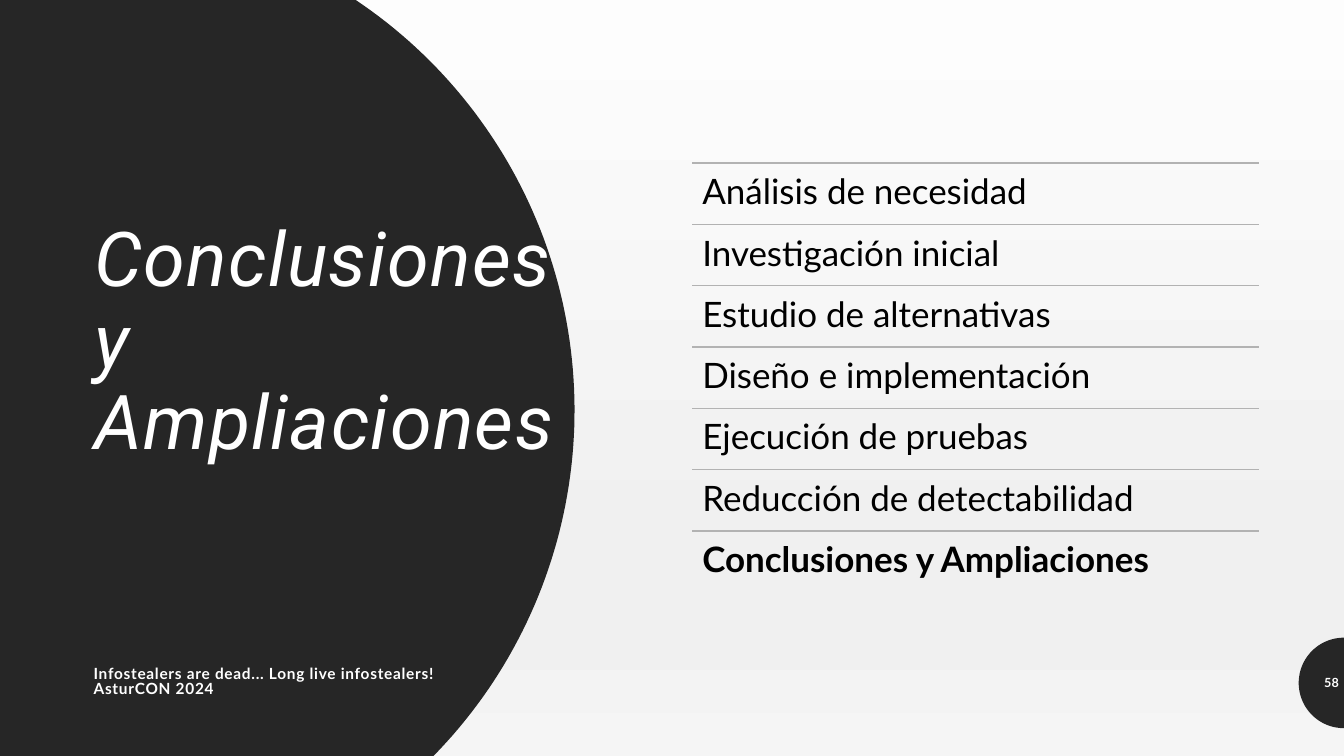
from math import asin, cos, pi, sin

from lxml import etree
from pptx import Presentation
from pptx.dml.color import RGBColor
from pptx.enum.shapes import MSO_CONNECTOR
from pptx.enum.text import MSO_ANCHOR, MSO_AUTO_SIZE, PP_ALIGN
from pptx.oxml.ns import qn
from pptx.util import Cm, Pt

LEFT, RIGHT = PP_ALIGN.LEFT, PP_ALIGN.RIGHT
TOP, MIDDLE, BOTTOM = MSO_ANCHOR.TOP, MSO_ANCHOR.MIDDLE, MSO_ANCHOR.BOTTOM
FIXED = MSO_AUTO_SIZE.NONE
STRAIGHT = MSO_CONNECTOR.STRAIGHT

WIDE, HIGH = 33.87, 19.05
COLORS = {"dark": "262626", "white": "FFFFFF", "black": "000000", "rule": "B2B2B2"}
FADE = [(0, "FDFDFD"), (74, "F0F0F0"), (83, "F0F0F0"), (100, "F5F5F5")]

TOPICS = [
    "Análisis de necesidad",
    "Investigación inicial",
    "Estudio de alternativas",
    "Diseño e implementación",
    "Ejecución de pruebas",
    "Reducción de detectabilidad",
    "Conclusiones y Ampliaciones",
]
ROW = 1.545  # height of one topic row


def color(name):
    return RGBColor.from_string(COLORS[name])


def place(shape, x, y, w, h):
    shape.left, shape.top, shape.width, shape.height = Cm(x), Cm(y), Cm(w), Cm(h)


def write(shape, lines, font="Lato", size=11, ink="white", bold=False, italic=False,
          track=0, align=LEFT, anchor=MIDDLE, lead=None, after=0, pad=(0.25, 0.13)):
    """Fill a shape with one formatted paragraph for each line."""
    frame = shape.text_frame
    frame.word_wrap, frame.auto_size = True, FIXED
    frame.vertical_anchor = anchor
    frame.margin_left = frame.margin_right = Cm(pad[0])
    frame.margin_top = frame.margin_bottom = Cm(pad[1])
    for i, line in enumerate(lines):
        para = frame.paragraphs[0] if i == 0 else frame.add_paragraph()
        props = para._p.get_or_add_pPr()
        props.set("marL", "0")
        props.set("indent", "0")
        etree.SubElement(props, qn("a:buNone"))
        para.alignment, para.line_spacing = align, lead
        para.space_before, para.space_after = Pt(0), Pt(after)
        run = para.add_run()
        run.text = line
        run.font.name, run.font.size = font, Pt(size)
        run.font.bold, run.font.italic = bold, italic
        run.font.color.rgb = color(ink)
        if track:
            run._r.get_or_add_rPr().set("spc", str(int(track * 100)))


def label(slide, text, x, y, w, h, **style):
    box = slide.shapes.add_textbox(Cm(x), Cm(y), Cm(w), Cm(h))
    write(box, [text], **style)


def arc(x, y, r, start, end, steps=90):
    turns = [start + (end - start) * i / steps for i in range(steps + 1)]
    return [(x + r * cos(t), y + r * sin(t)) for t in turns]


def blob(slide, points):
    """Draw a dark outline behind all text."""
    dots = [(Cm(x), Cm(y)) for x, y in points]
    pen = slide.shapes.build_freeform(*dots[0])
    pen.add_line_segments(dots[1:], close=True)
    shape = pen.convert_to_shape()
    shape.shadow.inherit = False
    shape.fill.solid()
    shape.fill.fore_color.rgb = color("dark")
    shape.line.fill.background()
    slide.shapes.element.insert(2, shape.element)


def rule(slide, x, y, w):
    line = slide.shapes.add_connector(STRAIGHT, Cm(x), Cm(y), Cm(x + w), Cm(y))
    line.line.color.rgb = color("rule")
    line.line.width = Pt(1)
    etree.SubElement(line.element.spPr, qn("a:effectLst"))


def fade(slide):
    fill = slide.background.fill
    fill.gradient()
    fill.gradient_angle = 270
    stops = slide.element.find(".//" + qn("a:gsLst"))
    for stop in list(stops):
        stops.remove(stop)
    for spot, tone in FADE:
        stop = etree.SubElement(stops, qn("a:gs"), pos=str(spot * 1000))
        etree.SubElement(stop, qn("a:srgbClr"), val=tone)


def main():
    deck = Presentation()
    deck.slide_width, deck.slide_height = Cm(WIDE), Cm(HIGH)
    slide = deck.slides.add_slide(deck.slide_layouts[1])
    title, body = slide.placeholders

    # Background, large disc and page badge
    fade(slide)
    x, y, r = 2.03, 10.34, 12.45
    edge = arc(x, y, r, asin(-y / r), asin((HIGH - y) / r))
    blob(slide, [(0, 0)] + edge + [(0, HIGH)])
    blob(slide, arc(WIDE, 17.21, 1.14, pi / 2, 3 * pi / 2))

    # Title
    place(title, 2.13, 7.16, 12.14, 4.72)
    write(title, ["Conclusiones y Ampliaciones"], font="Roboto", size=54,
          italic=True, track=1, anchor=BOTTOM, lead=0.9)

    # Topic list, one rule above each row
    place(body, 17.45, 3.79, 14.27, ROW * len(TOPICS))
    write(body, TOPICS, size=25, ink="black", anchor=TOP,
          lead=Cm(ROW), pad=(0.25, 0))
    body.text_frame.paragraphs[-1].runs[0].font.bold = True
    for i in range(len(TOPICS)):
        rule(slide, 17.45, 4.11 + i * ROW, 14.27)

    # Footer and page number
    label(slide, "Infostealers are dead... Long live infostealers! AsturCON 2024",
          2.11, 16.69, 10.19, 1.02, bold=True, track=0.5, lead=0.8, after=6)
    label(slide, "58", 32.73, 16.69, 1.14, 1.02, size=9, bold=True,
          align=RIGHT, after=6, pad=(0.13, 0.13))

    deck.save("out.pptx")


if __name__ == "__main__":
    main()
